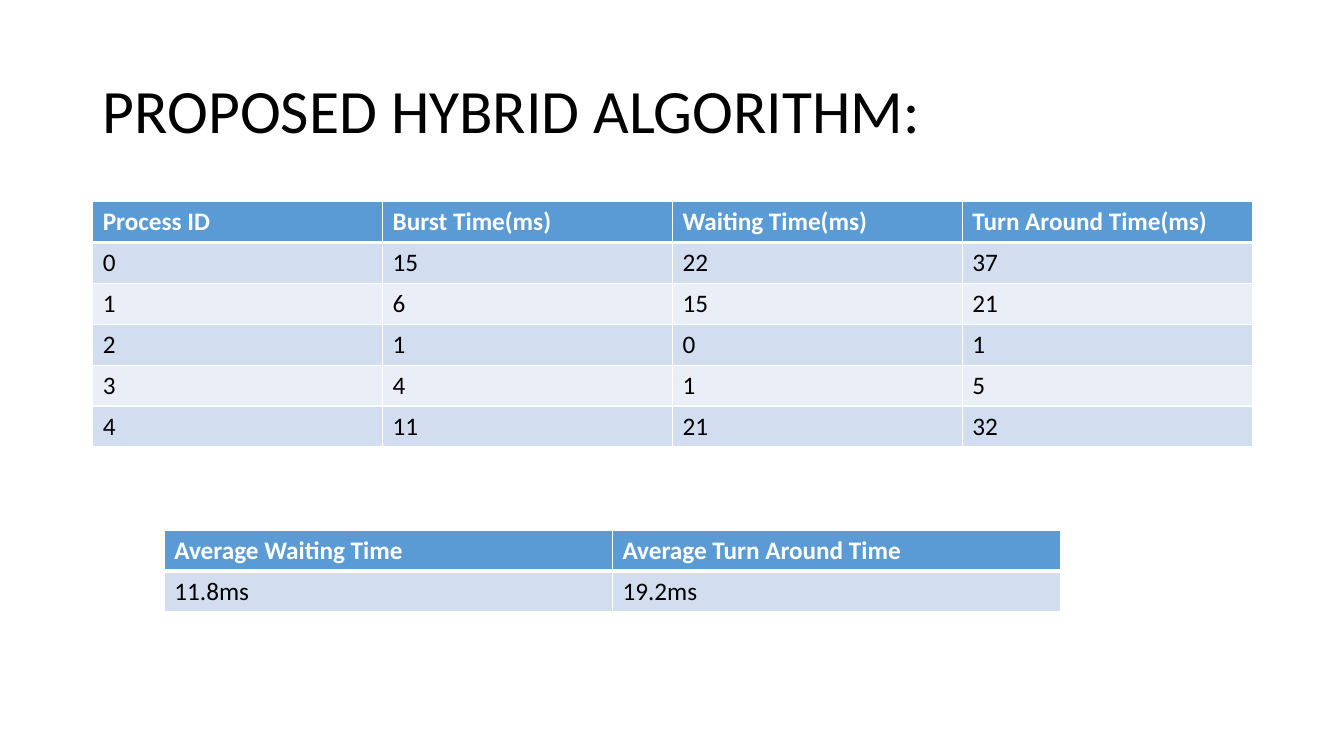
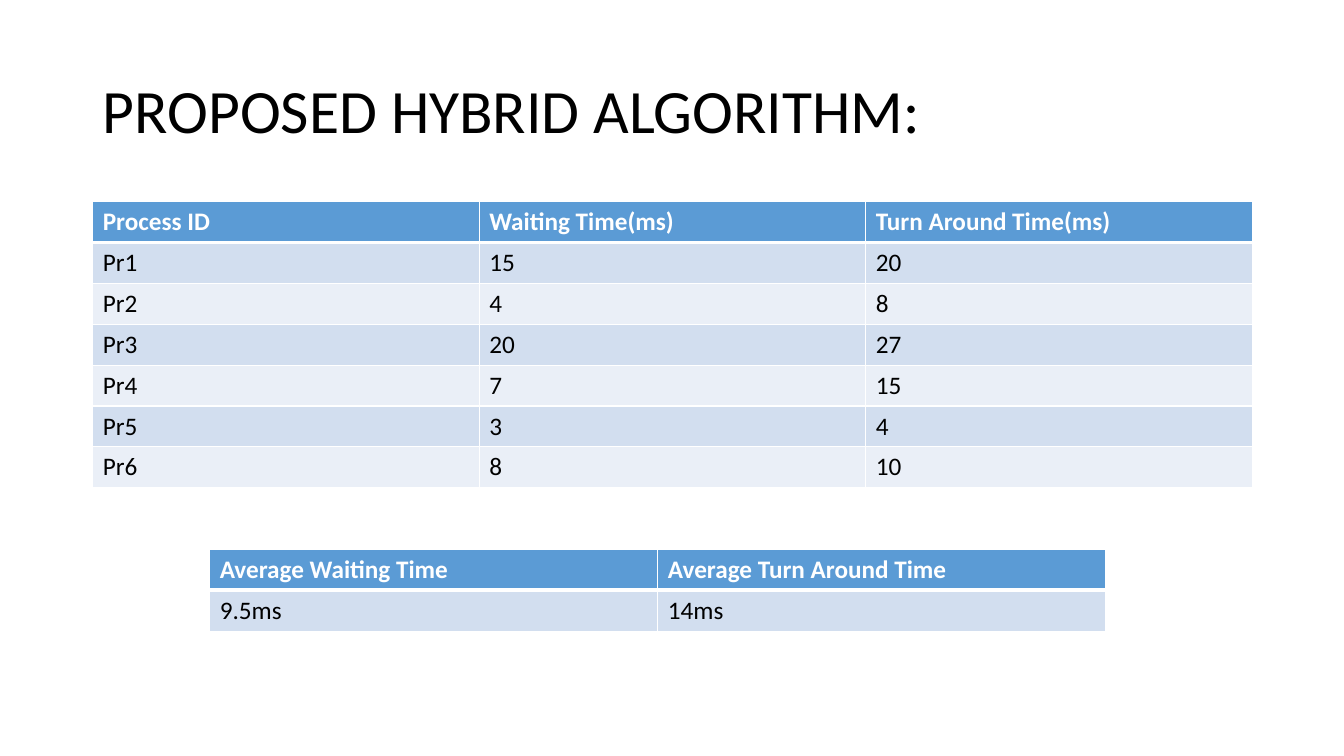
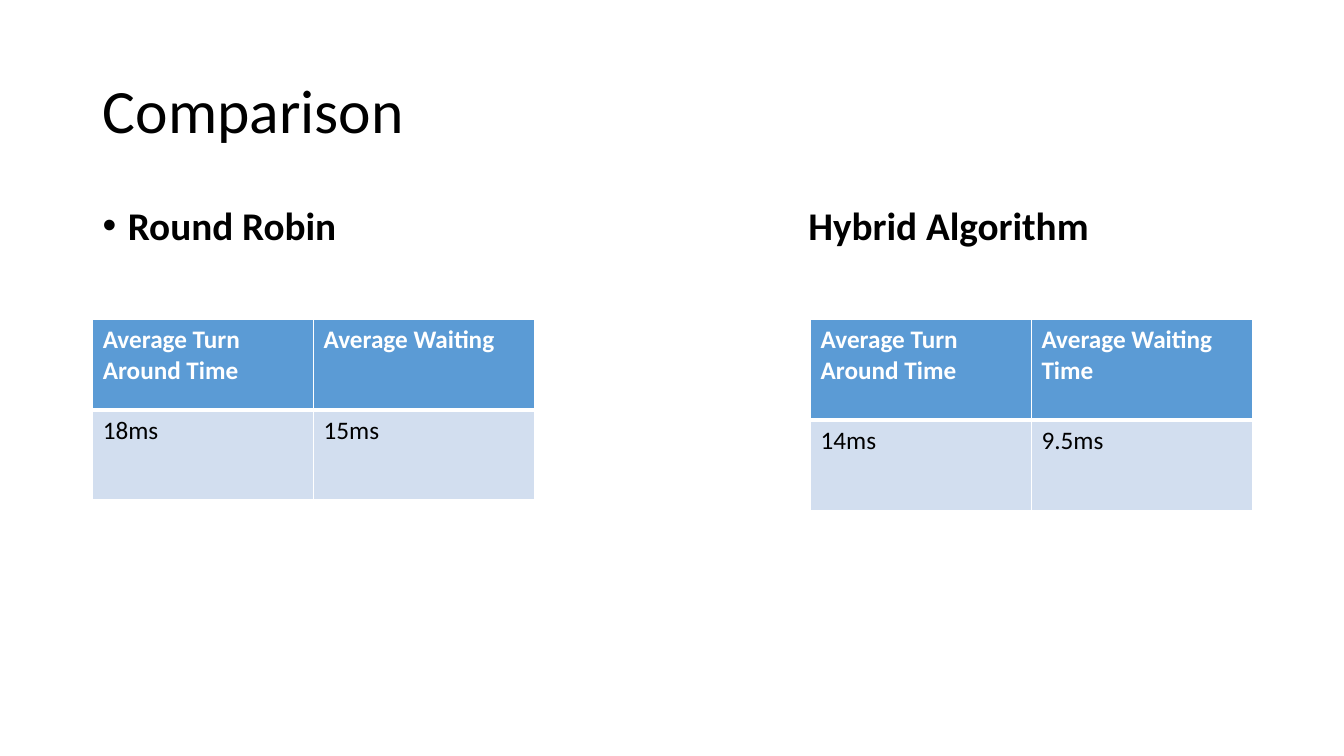
"""Build three slides that compare scheduling times in tables."""
from lxml.etree import SubElement
from pptx import Presentation
from pptx.dml.color import RGBColor
from pptx.enum.text import MSO_ANCHOR, PP_ALIGN
from pptx.oxml.ns import qn
from pptx.util import Inches, Pt

FONT = "Calibri"
BLACK, WHITE = "000000", "FFFFFF"
HEAD, BANDS = "5B9BD5", ("D2DEEF", "EAEFF7")
LEFT, WIDE, TOP = 0.92, 11.5, 2
ROW = 0.4
MEAN_WIDE, PAIR_WIDE = 8.89, 4.38
PAIR_TOP = 3.17

HYBRID = "PROPOSED HYBRID ALGORITHM:"
MEANS = ("Average Waiting Time", "Average Turn Around Time")
TIMES = ("Waiting Time(ms)", "Turn Around Time(ms)")
FIRST = [
    ("Process ID", "Burst Time(ms)", *TIMES),
    (0, 15, 22, 37),
    (1, 6, 15, 21),
    (2, 1, 0, 1),
    (3, 4, 1, 5),
    (4, 11, 21, 32),
]
SECOND = [
    ("Process ID", *TIMES),
    ("Pr1", 15, 20),
    ("Pr2", 4, 8),
    ("Pr3", 20, 27),
    ("Pr4", 7, 15),
    ("Pr5", 3, 4),
    ("Pr6", 8, 10),
]
ROBIN = [("Average Turn Around Time", "Average Waiting"), ("18ms", "15ms")]
MIXED = [("Average Turn Around Time", "Average Waiting Time"), ("14ms", "9.5ms")]

SLIDES = [
    (HYBRID, None, [
        (FIRST, LEFT, TOP, WIDE, [ROW] * len(FIRST)),
        ([MEANS, ("11.8ms", "19.2ms")], 1.63, 5.26, MEAN_WIDE, [ROW] * 2),
    ]),
    (HYBRID, None, [
        (SECOND, LEFT, TOP, WIDE, [ROW] * len(SECOND)),
        ([MEANS, ("9.5ms", "14ms")], 2.08, 5.45, MEAN_WIDE, [ROW] * 2),
    ]),
    ("Comparison", "Round Robin\tHybrid Algorithm", [
        (ROBIN, LEFT, PAIR_TOP, PAIR_WIDE, [0.9, 0.89]),
        (MIXED, LEFT + WIDE - PAIR_WIDE, PAIR_TOP, PAIR_WIDE, [1, 0.9]),
    ]),
]


def color(code):
    return RGBColor.from_string(code)


def style(para, size, code, bold=False):
    for run in para.runs:
        font = run.font
        font.name, font.size, font.bold = FONT, Pt(size), bold
        font.color.rgb = color(code)


def border(cell, row):
    props = cell._tc.get_or_add_tcPr()
    thick = {"lnB": row == 0, "lnT": row == 1}
    for side in ("lnL", "lnR", "lnT", "lnB"):
        width = Pt(3 if thick.get(side) else 1)
        line = SubElement(props, qn("a:" + side), w=str(width))
        fill = SubElement(line, qn("a:solidFill"))
        SubElement(fill, qn("a:srgbClr"), val=WHITE)


def add_grid(slide, data, left, top, wide, highs):
    count = len(data[0])
    frame = slide.shapes.add_table(len(data), count, Inches(left), Inches(top),
                                   Inches(wide), Inches(sum(highs)))
    table = frame.table
    for col in table.columns:
        col.width = Inches(wide / count)
    for row, (items, high) in enumerate(zip(data, highs)):
        table.rows[row].height = Inches(high)
        for col, item in enumerate(items):
            cell = table.cell(row, col)
            border(cell, row)
            cell.fill.solid()
            cell.fill.fore_color.rgb = color(BANDS[(row - 1) % 2] if row else HEAD)
            cell.text_frame.text = str(item)
            style(cell.text_frame.paragraphs[0], 18, BLACK if row else WHITE, row == 0)


def add_title(slide, text):
    title = slide.shapes.title
    title.left, title.top = Inches(LEFT), Inches(0.4)
    title.width, title.height = Inches(WIDE), Inches(1.45)
    frame = title.text_frame
    frame.text = text
    frame.vertical_anchor = MSO_ANCHOR.MIDDLE
    para = frame.paragraphs[0]
    para.alignment, para.line_spacing = PP_ALIGN.LEFT, 0.9
    style(para, 44, BLACK)


def add_heads(slide, text):
    box = slide.shapes.add_textbox(Inches(LEFT), Inches(TOP), Inches(WIDE), Inches(4.76))
    frame = box.text_frame
    frame.word_wrap = True
    frame.text = text
    para = frame.paragraphs[0]
    para.line_spacing, para.space_before = 0.9, Pt(10)
    style(para, 28, BLACK, True)
    props = para._p.get_or_add_pPr()
    props.set("marL", str(Inches(0.25)))
    props.set("indent", str(Inches(-0.25)))
    SubElement(props, qn("a:buFont"), typeface="Arial")
    SubElement(props, qn("a:buChar"), char="•")
    tabs = SubElement(props, qn("a:tabLst"))
    SubElement(tabs, qn("a:tab"), pos=str(Inches(7)), algn="l")


deck = Presentation()
deck.slide_width, deck.slide_height = Inches(13.33), Inches(7.5)
for title, heads, grids in SLIDES:
    slide = deck.slides.add_slide(deck.slide_layouts[5])
    add_title(slide, title)
    if heads:
        add_heads(slide, heads)
    for grid in grids:
        add_grid(slide, *grid)
deck.save("out.pptx")
